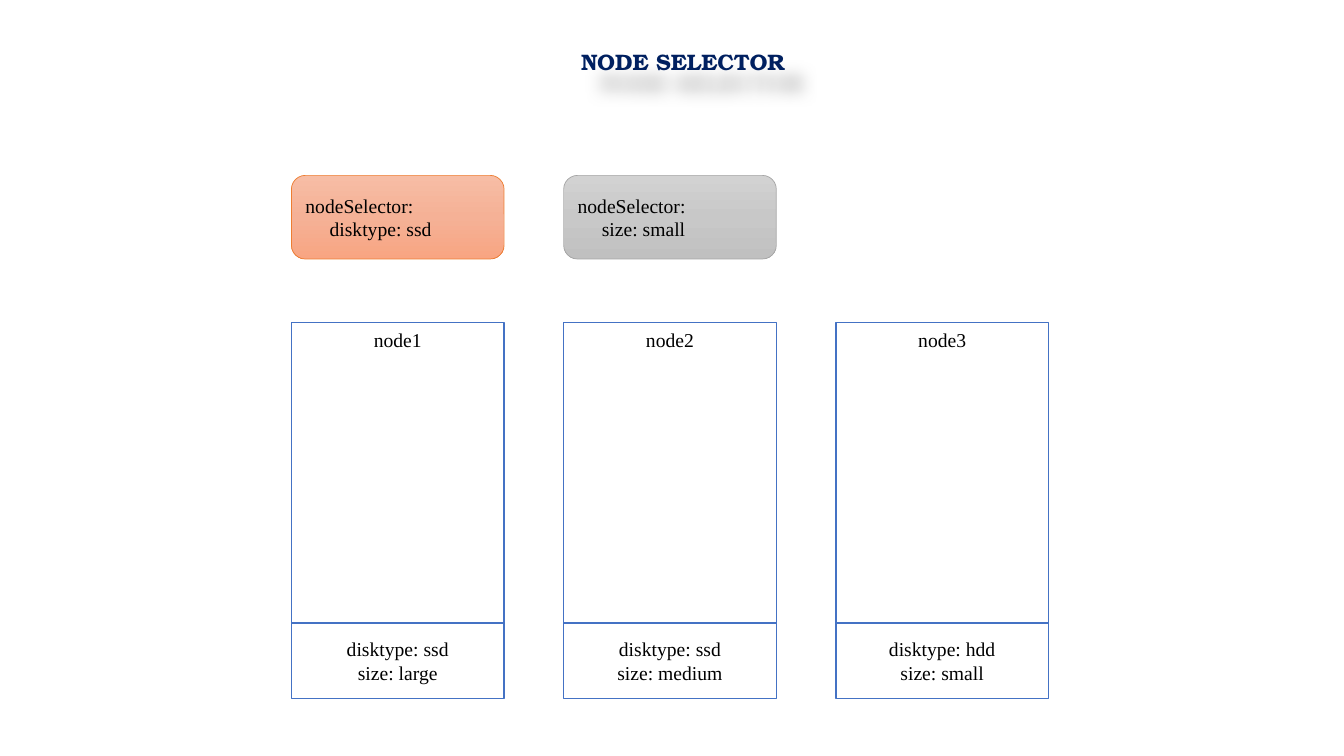
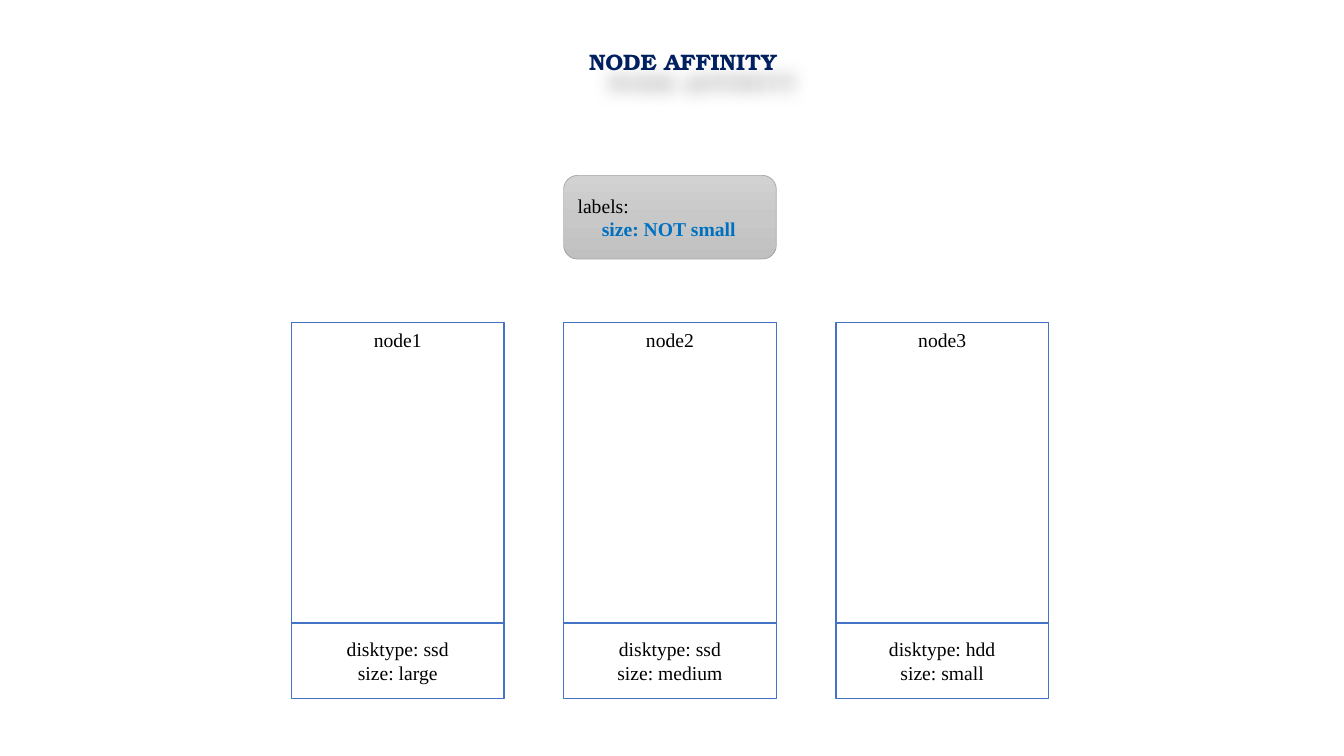
from copy import deepcopy
from dataclasses import dataclass

from lxml import etree
from pptx import Presentation
from pptx.dml.color import RGBColor
from pptx.enum.shapes import MSO_SHAPE
from pptx.enum.text import MSO_ANCHOR, MSO_AUTO_SIZE, PP_ALIGN
from pptx.oxml.ns import qn
from pptx.util import Inches, Pt

BOX, ROUNDED = MSO_SHAPE.FLOWCHART_PROCESS, MSO_SHAPE.ROUNDED_RECTANGLE
TOP, MIDDLE = MSO_ANCHOR.TOP, MSO_ANCHOR.MIDDLE
LEFT, CENTER = PP_ALIGN.LEFT, PP_ALIGN.CENTER
FIT_SHAPE = MSO_AUTO_SIZE.SHAPE_TO_FIT_TEXT


@dataclass(frozen=True)
class Theme:
    title_font: str = "TeX Gyre Bonum"
    body_font: str = "Times New Roman"
    title_size: int = 16
    body_size: int = 14
    title: str = "002060"
    text: str = "000000"
    accent: str = "0070C0"
    paper: str = "FFFFFF"
    node_line: str = "4472C4"
    orange: tuple = ("F7BDA5", "F5B196", "F8A582")
    orange_line: str = "ED7D31"
    gray: tuple = ("D2D2D2", "C8C8C8", "C0C0C0")
    gray_line: str = "A5A5A5"


# Grid shared by both slides
COLUMN_LEFT, COLUMN_STEP, COLUMN_WIDTH = 2.89, 2.7, 2.11
RULE_TOP, RULE_HEIGHT = 1.74, 0.83
NODE_TOP, NODE_HEIGHT = 3.2, 2.99
LABEL_TOP, LABEL_HEIGHT = 6.18, 0.75
INDENT = 0.24

NODES = [
    ("node1", "disktype: ssd", "size: large"),
    ("node2", "disktype: ssd", "size: medium"),
    ("node3", "disktype: hdd", "size: small"),
]


def rgb(value):
    return RGBColor.from_string(value)


class Deck:
    def __init__(self, theme):
        self.theme = theme
        self.prs = Presentation()
        self.prs.slide_width, self.prs.slide_height = Inches(13.33), Inches(7.5)
        self.slide = None

    def add_slide(self, title):
        self.slide = self.prs.slides.add_slide(self.prs.slide_layouts[5])
        self.title(title)

    def add_text(self, p, text, align, **formats):
        p.alignment = align
        r = p.add_run()
        r.text = text
        style = {"name": self.theme.body_font, "size": Pt(self.theme.body_size),
                 "bold": False, "color": self.theme.text, **formats}
        r.font.color.rgb = rgb(style.pop("color"))
        for name, value in style.items():
            setattr(r.font, name, value)

    def title(self, text):
        sp, t = self.slide.shapes.title, self.theme
        place = {"left": 2.17, "top": 0.43, "width": 9.21, "height": 0.37}
        for name, value in place.items():
            setattr(sp, name, Inches(value))
        sp.fill.background()
        tf = sp.text_frame
        frame = {"word_wrap": True, "auto_size": FIT_SHAPE, "vertical_anchor": TOP}
        for name, value in frame.items():
            setattr(tf, name, value)
        self.add_text(tf.paragraphs[0], text, CENTER, name=t.title_font,
                      size=Pt(t.title_size), bold=True, color=t.title)
        self.soft_shadow(sp)

    def soft_shadow(self, sp):
        sp.shadow.inherit = False
        effects = sp._element.spPr.find(qn("a:effectLst"))
        shadow = etree.SubElement(
            effects, qn("a:outerShdw"), blurRad=str(Inches(0.16)),
            dist=str(Inches(0.27)), dir=str(48 * 60000), algn="tl", rotWithShape="0")
        color = etree.SubElement(shadow, qn("a:srgbClr"), val=self.theme.text)
        etree.SubElement(color, qn("a:alpha"), val="30000")

    def shape(self, kind, column, top, height, line, line_width, anchor):
        left = COLUMN_LEFT + column * COLUMN_STEP
        sp = self.slide.shapes.add_shape(
            kind, Inches(left), Inches(top), Inches(COLUMN_WIDTH), Inches(height))
        sp.shadow.inherit = False
        sp.line.color.rgb = rgb(line)
        sp.line.width = Pt(line_width)
        sp.text_frame.word_wrap = True
        sp.text_frame.vertical_anchor = anchor
        return sp

    def box(self, column, top, height, anchor, *lines):
        sp = self.shape(BOX, column, top, height, self.theme.node_line, 1, anchor)
        sp.fill.solid()
        sp.fill.fore_color.rgb = rgb(self.theme.paper)
        tf = sp.text_frame
        for i, text in enumerate(lines):
            p = tf.add_paragraph() if i else tf.paragraphs[0]
            self.add_text(p, text, CENTER)

    def nodes(self):
        for column, (name, *labels) in enumerate(NODES):
            self.box(column, NODE_TOP, NODE_HEIGHT, TOP, name)
            self.box(column, LABEL_TOP, LABEL_HEIGHT, MIDDLE, *labels)

    def gradient(self, sp, colors):
        sp.fill.gradient()
        sp.fill.gradient_angle = 270
        stops = sp._element.spPr.find(qn("a:gradFill")).find(qn("a:gsLst"))
        stops.insert(1, deepcopy(stops[0]))
        for i, (stop, color) in enumerate(zip(sp.fill.gradient_stops, colors)):
            stop.position = i / 2
            stop.color.rgb = rgb(color)

    def rule(self, column, colors, line, heading, entry, **formats):
        sp = self.shape(ROUNDED, column, RULE_TOP, RULE_HEIGHT, line, 0.5, MIDDLE)
        self.gradient(sp, colors)
        tf = sp.text_frame
        self.add_text(tf.paragraphs[0], heading, LEFT)
        p = tf.add_paragraph()
        p._p.get_or_add_pPr().set("marL", str(Inches(INDENT)))
        self.add_text(p, entry, LEFT, **formats)


theme = Theme()
deck = Deck(theme)

# Node selector
deck.add_slide("NODE SELECTOR")
deck.nodes()
deck.rule(0, theme.orange, theme.orange_line, "nodeSelector:", "disktype: ssd")
deck.rule(1, theme.gray, theme.gray_line, "nodeSelector:", "size: small")

# Node affinity
deck.add_slide("NODE AFFINITY")
deck.nodes()
deck.rule(1, theme.gray, theme.gray_line, "labels:", "size: NOT small",
          bold=True, color=theme.accent)

deck.prs.save("out.pptx")
